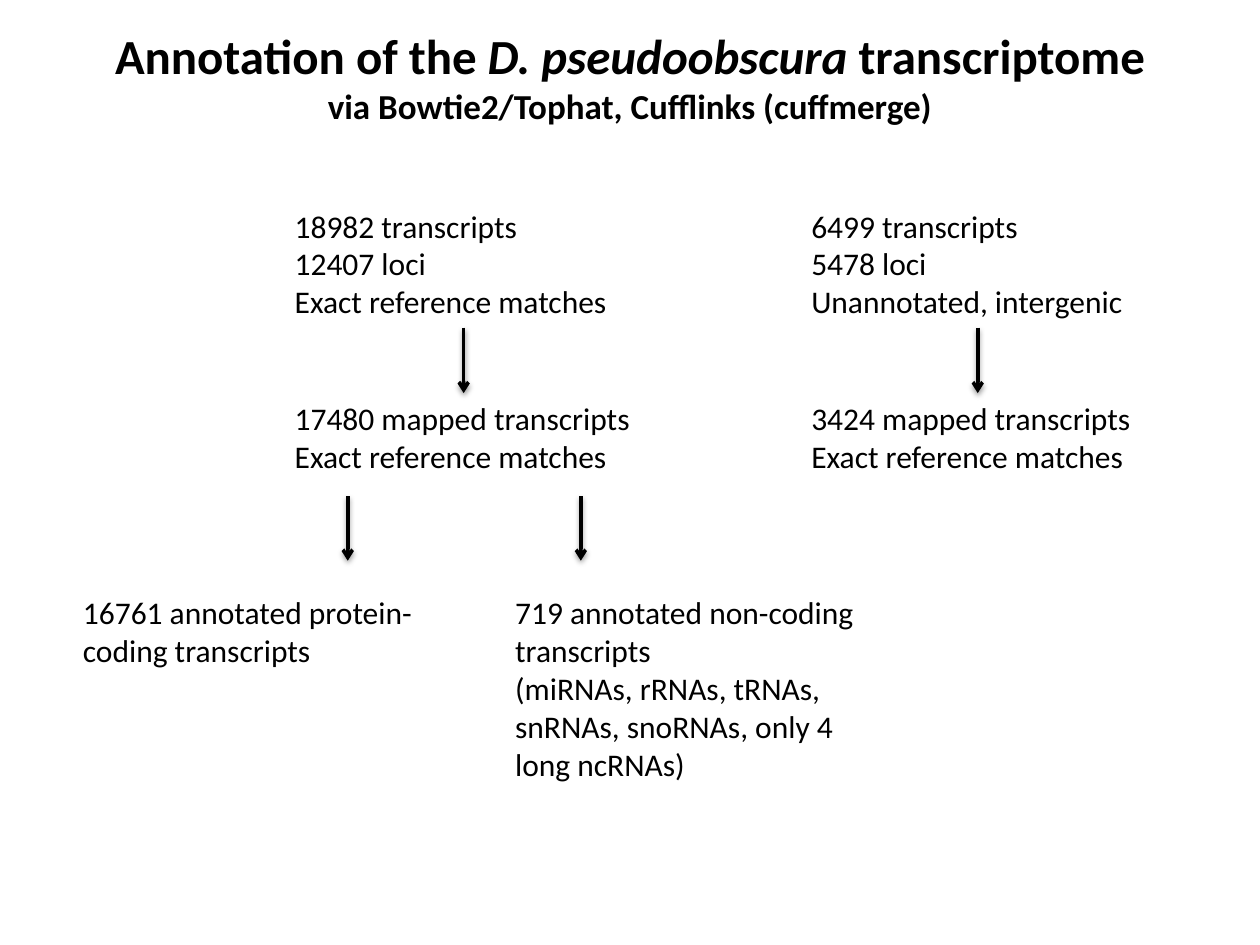
from lxml import etree
from pptx import Presentation
from pptx import util as u
from pptx.dml.color import RGBColor
from pptx.enum import shapes, text
from pptx.oxml import parse_xml
from pptx.oxml.ns import nsdecls, qn

BLACK = RGBColor(0, 0, 0)
FONT = "Calibri"
COLS, ROWS = 100, 75          # slide grid
WIDE = 28.9                   # width of every text block

deck = Presentation()
deck.slide_width, deck.slide_height = u.Inches(10), u.Inches(7.5)


def col(n):
    return int(deck.slide_width * n / COLS)


def row(n):
    return int(deck.slide_height * n / ROWS)


def place(shape, box):
    left, top, wide, high = box
    shape.left, shape.top = col(left), row(top)
    shape.width, shape.height = col(wide), row(high)


def write(frame, lines, size=18, bold=False, align=text.PP_ALIGN.LEFT):
    """Each line is a string or a list of (string, format) runs."""
    frame.word_wrap = True
    frame.auto_size = text.MSO_AUTO_SIZE.SHAPE_TO_FIT_TEXT
    frame.vertical_anchor = text.MSO_ANCHOR.TOP
    for i, line in enumerate(lines):
        para = frame.paragraphs[0] if i == 0 else frame.add_paragraph()
        para.alignment = align
        for words, style in [(line, {})] if isinstance(line, str) else line:
            run = para.add_run()
            run.text = words
            font = run.font
            font.name, font.bold = FONT, bold
            font.size = u.Pt(style.get("size", size))
            font.italic = style.get("italic", False)
            font.color.rgb = BLACK


def note(slide, box, lines):
    shape = slide.shapes.add_textbox(0, 0, 0, 0)
    write(shape.text_frame, lines)
    place(shape, box)


def arrow(slide, x, top, high):
    line = slide.shapes.add_connector(
        shapes.MSO_CONNECTOR.STRAIGHT, col(x), row(top), col(x), row(top + high))
    line.line.color.rgb = BLACK
    line.line.width = u.Pt(2)
    # Arrowhead and soft drop shadow
    etree.SubElement(line.line._get_or_add_ln(), qn("a:tailEnd"), type="arrow")
    line._element.spPr.append(parse_xml(
        f'<a:effectLst {nsdecls("a")}><a:outerShdw blurRad="{u.Pt(3.1)}" '
        f'dist="{u.Pt(1.6)}" dir="5400000" rotWithShape="0">'
        '<a:srgbClr val="000000"><a:alpha val="38000"/></a:srgbClr>'
        '</a:outerShdw></a:effectLst>'))


def head(slide, box):
    title = slide.shapes.title
    write(title.text_frame, [
        [("Annotation of the ", {}), ("D. pseudoobscura ", {"italic": True}),
         ("transcriptome", {})],
        [("via Bowtie2/Tophat, Cufflinks (cuffmerge)", {"size": 20})],
    ], size=28, bold=True, align=text.PP_ALIGN.CENTER)
    place(title, box)


def branch(slide, left, top, found, mapped, mid):
    """Found transcripts, an arrow, then the mapped ones."""
    note(slide, (left, top, WIDE, 10.1), found)
    arrow(slide, left + mid, top + 10.1, 5.2)
    note(slide, (left, top + 15.3, WIDE, 7.1), mapped)


def split(slide, left, top, parts):
    """Arrows down to the classes of mapped transcripts."""
    for shift, stem, high, lines in parts:
        arrow(slide, left + stem, top, 5.1)
        note(slide, (left + shift, top + 7.2, WIDE, high), lines)


slide = deck.slides.add_slide(deck.slide_layouts[5])
head(slide, (0, 1.5, COLS, 9.1))

# Annotated and intergenic branches
match = "Exact reference matches"
branch(slide, 22.4, 15.9, ["18982 transcripts", "12407 loci", match],
       ["17480 mapped transcripts", match], 14.4)
branch(slide, 63.4, 15.9,
       ["6499 transcripts", "5478 loci", "Unannotated, intergenic"],
       ["3424 mapped transcripts", match], 14.2)

# Coding and non-coding classes
split(slide, 5.6, 39.4, [
    (0, 22, 7.1, ["16761 annotated protein-coding transcripts"]),
    (34.3, 40.5, 16.2, [
        "719 annotated non-coding transcripts",
        "(miRNAs, rRNAs, tRNAs, snRNAs, snoRNAs, only 4 long ncRNAs)"]),
])

deck.save("out.pptx")
